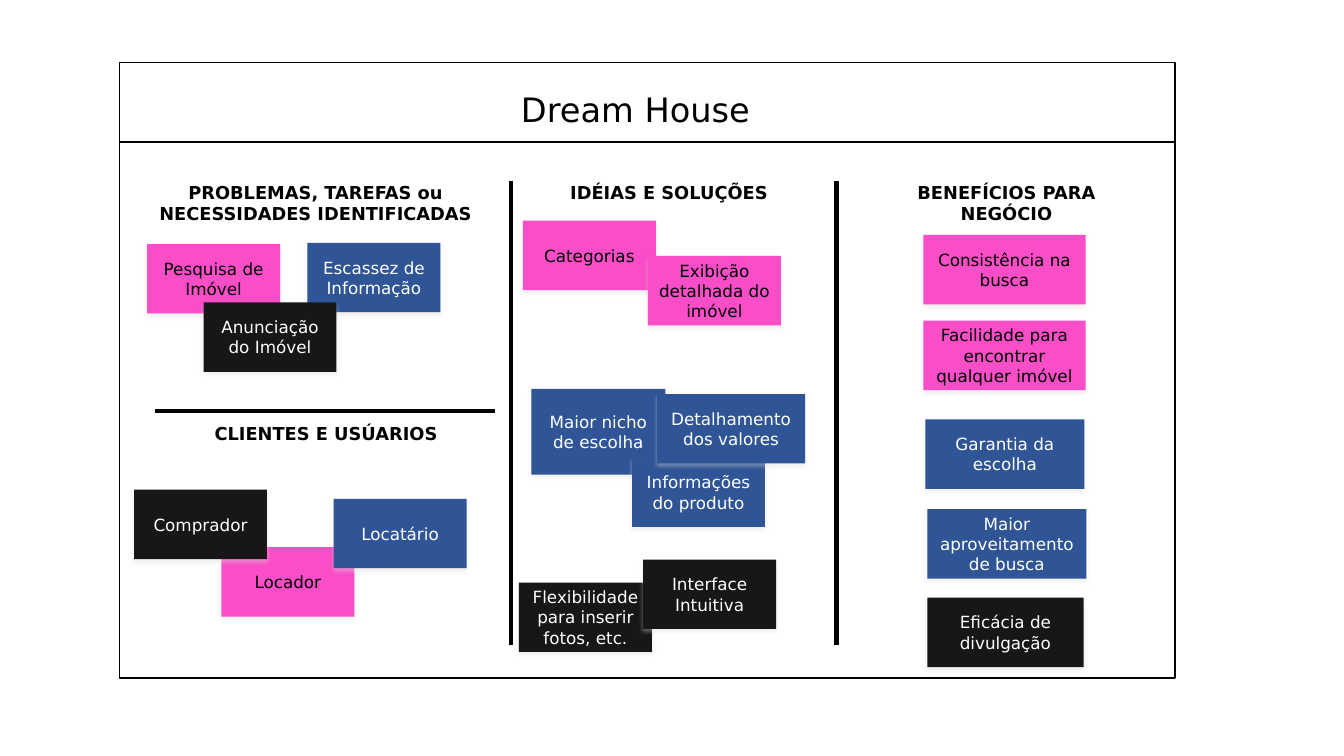
from lxml import etree
from pptx import Presentation
from pptx.dml.color import RGBColor
from pptx.enum.shapes import MSO_CONNECTOR, MSO_SHAPE
from pptx.enum.text import MSO_ANCHOR, MSO_AUTO_SIZE, PP_ALIGN
from pptx.oxml.ns import qn
from pptx.util import Cm, Pt

RECTANGLE = MSO_SHAPE.RECTANGLE
STRAIGHT = MSO_CONNECTOR.STRAIGHT
MIDDLE = MSO_ANCHOR.MIDDLE
FIT_SHAPE = MSO_AUTO_SIZE.SHAPE_TO_FIT_TEXT
LEFT, CENTER = PP_ALIGN.LEFT, PP_ALIGN.CENTER

BLACK = RGBColor(0x00, 0x00, 0x00)
WHITE = RGBColor(0xFF, 0xFF, 0xFF)
PINK = RGBColor(0xFA, 0x4D, 0xC8)
BLUE = RGBColor(0x2F, 0x55, 0x97)
INK = RGBColor(0x18, 0x16, 0x19)
SHADOW_GREY = RGBColor(0xD9, 0xD9, 0xD9)

TITLE_FONT = {"name": "DejaVu Sans", "size": Pt(24)}
HEADING_FONT = {"name": "DejaVu Sans", "size": Pt(12.7), "bold": True}
NOTE_FONT = {"name": "DejaVu Sans", "size": Pt(12)}

NOTE_WIDTH, NOTE_HEIGHT = 3.35, 1.75
FRAME_LEFT, FRAME_WIDTH = 3.02, 26.59

# left, top, width, height, lines, alignment, wrap
HEADINGS = [
    (3.56, 4.45, 8.79, 1.35,
     ["PROBLEMAS, TAREFAS ou", "NECESSIDADES IDENTIFICADAS"], CENTER, False),
    (5.03, 10.54, 6.38, 0.81, ["CLIENTES E USÚARIOS"], CENTER, False),
    (14.12, 4.45, 5.72, 0.81, ["IDÉIAS E SOLUÇÕES"], LEFT, False),
    (21.39, 4.45, 7.95, 1.35, ["BENEFÍCIOS PARA", "NEGÓCIO"], CENTER, True),
]

# x1, y1, x2, y2
DIVIDERS = [
    (21.08, 4.55, 21.08, 16.26),
    (3.91, 10.36, 12.47, 10.36),
    (12.88, 4.55, 12.88, 16.26),
]

# left, top, colour, text and, where they differ, width and height; back to front
PROBLEM_NOTES = [
    (3.71, 6.15, PINK, "Pesquisa de Imóvel"),
    (7.75, 6.12, BLUE, "Escassez de Informação"),
    (5.13, 7.62, INK, "Anunciação do Imóvel"),
]
CLIENT_NOTES = [
    (5.58, 13.79, PINK, "Locador"),
    (8.41, 12.57, BLUE, "Locatário"),
    (3.38, 12.34, INK, "Comprador"),
]
IDEA_NOTES = [
    (13.18, 5.56, PINK, "Categorias"),
    (16.33, 6.45, PINK, "Exibição detalhada do imóvel"),
    (13.39, 9.8, BLUE, "Maior nicho de escolha", 3.38, 2.16),
    (15.93, 11.53, BLUE, "Informações do produto"),
    (13.08, 14.68, INK, "Flexibilidade para inserir fotos, etc."),
    (16.21, 14.1, INK, "Interface Intuitiva"),
    (16.56, 9.93, BLUE, "Detalhamento dos valores", 3.73),
]
BENEFIT_NOTES = [
    (23.27, 5.92, PINK, "Consistência na busca", 4.09),
    (23.27, 8.08, PINK, "Facilidade para encontrar qualquer imóvel", 4.09),
    (23.32, 10.57, BLUE, "Garantia da escolha", 4.01),
    (23.37, 12.83, BLUE, "Maior aproveitamento de busca", 4.01),
    (23.37, 15.06, INK, "Eficácia de divulgação", 3.94),
]


def write_lines(frame, lines, font_format, color, alignment):
    for index, line in enumerate(lines):
        paragraph = frame.paragraphs[0] if index == 0 else frame.add_paragraph()
        paragraph.alignment = alignment
        run = paragraph.add_run()
        run.text = line
        for attribute, value in font_format.items():
            setattr(run.font, attribute, value)
        run.font.color.rgb = color


def add_label(slide, left, top, width, height, lines, alignment, wrap, font_format):
    label = slide.shapes.add_textbox(Cm(left), Cm(top), Cm(width), Cm(height))
    label.text_frame.word_wrap = wrap
    label.text_frame.auto_size = FIT_SHAPE
    write_lines(label.text_frame, lines, font_format, BLACK, alignment)


def add_frame(slide, top, height):
    frame = slide.shapes.add_shape(
        RECTANGLE, Cm(FRAME_LEFT), Cm(top), Cm(FRAME_WIDTH), Cm(height))
    frame.shadow.inherit = False
    frame.fill.background()
    frame.line.color.rgb = BLACK
    frame.line.width = Pt(1)


def add_divider(slide, x1, y1, x2, y2):
    divider = slide.shapes.add_connector(STRAIGHT, Cm(x1), Cm(y1), Cm(x2), Cm(y2))
    divider.line.color.rgb = BLACK
    divider.line.width = Pt(3)
    etree.SubElement(divider._element.spPr, qn("a:effectLst"))


def add_soft_shadow(shape):
    shape.shadow.inherit = False
    effects = shape._element.spPr.find(qn("a:effectLst"))
    shadow = etree.SubElement(
        effects, qn("a:outerShdw"), blurRad=str(Pt(3)), dist=str(Pt(2)),
        dir="5400000", rotWithShape="0")
    color = etree.SubElement(shadow, qn("a:srgbClr"), val=str(SHADOW_GREY))
    etree.SubElement(color, qn("a:alpha"), val="40000")


def add_note(slide, left, top, color, text, width=NOTE_WIDTH, height=NOTE_HEIGHT):
    note = slide.shapes.add_shape(RECTANGLE, Cm(left), Cm(top), Cm(width), Cm(height))
    note.fill.solid()
    note.fill.fore_color.rgb = color
    note.line.fill.background()
    add_soft_shadow(note)
    note.text_frame.word_wrap = True
    note.text_frame.vertical_anchor = MIDDLE
    text_color = BLACK if color == PINK else WHITE
    write_lines(note.text_frame, [text], NOTE_FONT, text_color, CENTER)


def main():
    presentation = Presentation()
    presentation.slide_width, presentation.slide_height = Cm(33.87), Cm(19.05)
    blank_layout = presentation.slide_layouts[6]
    slide = presentation.slides.add_slide(blank_layout)

    # Board body and title bar
    add_frame(slide, 3.58, 13.51)
    add_frame(slide, 1.57, 2.01)
    add_label(slide, 12.88, 2.11, 6.35, 1.27, ["Dream House"], LEFT, False, TITLE_FONT)

    # Section dividers and headings
    for divider in DIVIDERS:
        add_divider(slide, *divider)
    for heading in HEADINGS:
        add_label(slide, *heading, HEADING_FONT)

    # Sticky notes
    for notes in (PROBLEM_NOTES, CLIENT_NOTES, IDEA_NOTES, BENEFIT_NOTES):
        for note in notes:
            add_note(slide, *note)

    presentation.save("out.pptx")


if __name__ == "__main__":
    main()
